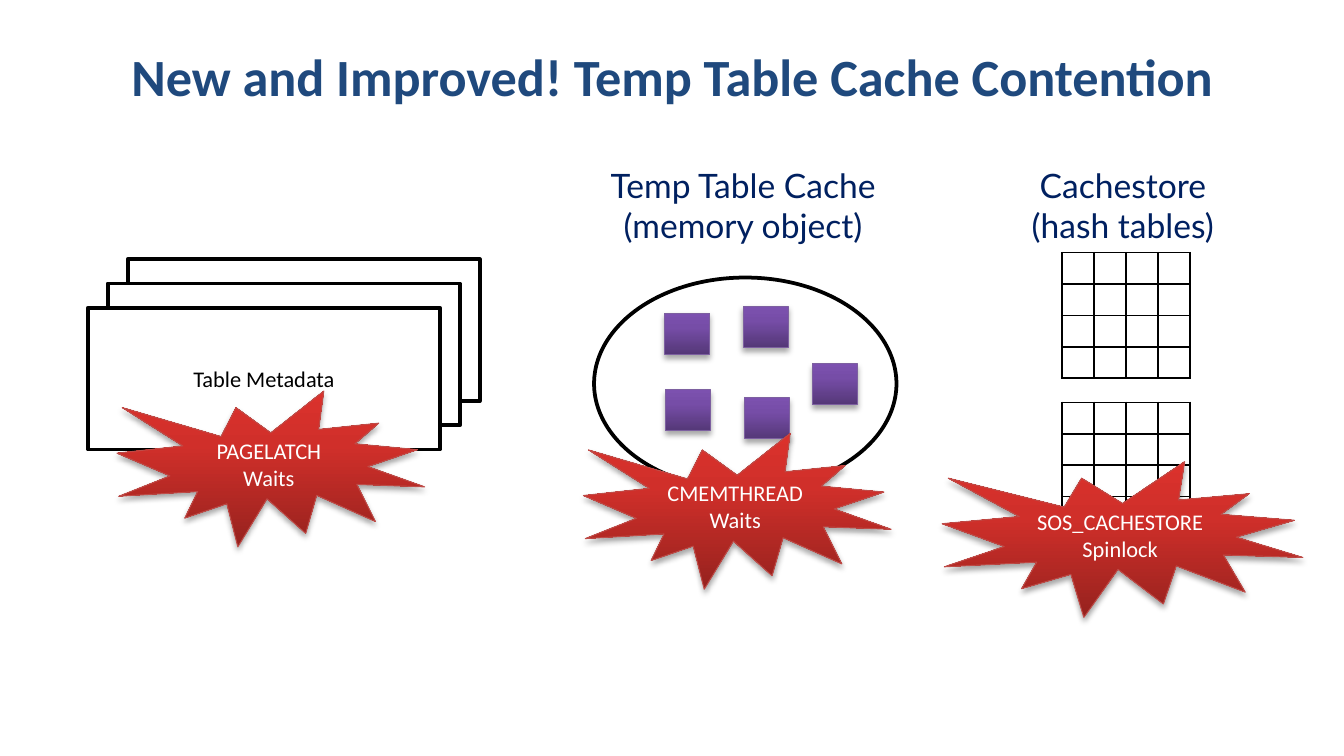
import pptx
import pptx.util
import pptx.dml.color
import pptx.enum.shapes
import pptx.enum.text
import pptx.oxml
import pptx.oxml.ns
import lxml.etree

RGB = pptx.dml.color.RGBColor
KIND = pptx.enum.shapes.MSO_SHAPE
BLACK = RGB(0x00, 0x00, 0x00)
WHITE = RGB(0xFF, 0xFF, 0xFF)
BLUE = RGB(0x1F, 0x49, 0x7D)
NAVY = RGB(0x00, 0x20, 0x60)
RUST = RGB(0xBF, 0x4C, 0x48)
PLUM = RGB(0x7D, 0x60, 0xA0)
REDS = RGB(0x96, 0x22, 0x1E), RGB(0xD0, 0x2F, 0x2A), RGB(0xDB, 0x31, 0x2C)
MAUVES = RGB(0x55, 0x38, 0x78), RGB(0x76, 0x4D, 0xA7), RGB(0x7C, 0x51, 0xAF)
NS = pptx.oxml.ns.nsdecls("a")

deck = pptx.Presentation()
deck.slide_width = pptx.util.Inches(10)
deck.slide_height = deck.slide_width * 9 // 16
COL = ROW = deck.slide_width / 100
slide = deck.slides.add_slide(deck.slide_layouts[5])


def write(frame, text, size=12, font="Calibri", color=BLACK, bold=False, anchor="MIDDLE"):
    frame.word_wrap = True
    frame.vertical_anchor = pptx.enum.text.MSO_ANCHOR[anchor]
    frame.text = text
    for para in frame.paragraphs:
        para.alignment = pptx.enum.text.PP_ALIGN.CENTER
        for run in para.runs:
            run.font.name = font
            run.font.size = pptx.util.Pt(size)
            run.font.bold = bold
            run.font.color.rgb = color


def draw(home, kind, x, y, w, h, edge=BLACK, thick=2, blend=None):
    shape = home.shapes.add_shape(kind, int(x * COL), int(y * ROW), int(w * COL), int(h * ROW))
    shape.shadow.inherit = False
    shape.line.color.rgb = edge
    shape.line.width = pptx.util.Pt(thick)
    shape.fill.solid()
    shape.fill.fore_color.rgb = WHITE
    if blend:
        stops = "".join(
            f'<a:gs pos="{pos}000"><a:srgbClr val="{tint}"/></a:gs>'
            for pos, tint in zip((0, 65, 100), blend))
        props = shape.element.spPr
        props.replace(props.find(pptx.oxml.ns.qn("a:solidFill")), pptx.oxml.parse_xml(
            f'<a:gradFill {NS} rotWithShape="1"><a:gsLst>{stops}</a:gsLst>'
            '<a:lin ang="16200000" scaled="0"/></a:gradFill>'))
        props.find(pptx.oxml.ns.qn("a:effectLst")).append(pptx.oxml.parse_xml(
            f'<a:outerShdw {NS} blurRad="39370" dist="25400" dir="5400000" rotWithShape="0">'
            '<a:srgbClr val="000000"><a:alpha val="35000"/></a:srgbClr></a:outerShdw>'))
    return shape


title = slide.shapes.title
title.left, title.top = int(5 * COL), int(2.5 * ROW)
title.width, title.height = int(90 * COL), int(6.2 * ROW)
write(title.text_frame, "New and Improved! Temp Table Cache Contention", size=28, color=BLUE, bold=True)

stack = slide.shapes.add_group_shape()
for step in range(3):
    sheet = draw(stack, KIND.RECTANGLE, 9.5 - 1.48 * step, 19.3 + 1.8 * step, 26.2, 10.55)
    if step == 0:
        sheet.fill.background()
write(sheet.text_frame, "Table Metadata")

cache = slide.shapes.add_group_shape()
draw(cache, KIND.OVAL, 44.2, 20.65, 22.5, 15.8)
for x, y in ((49.45, 23.3), (49.5, 29), (55.3, 22.8), (55.4, 29.6), (60.45, 27.05)):
    draw(cache, KIND.RECTANGLE, x, y, 3.35, 3.05, PLUM, 0.5, MAUVES)

for x, text in ((44.45, "Temp Table Cache\n(memory object)"), (72.7, "Cachestore\n(hash tables)")):
    label = slide.shapes.add_textbox(int(x * COL), int(11.75 * ROW), int(21.7 * COL), int(7.1 * ROW))
    write(label.text_frame, text, size=18, font="Lato", color=NAVY, anchor="TOP")

SIDE = 4
for y in (18.8, 29.95):
    grid = slide.shapes.add_table(
        SIDE, SIDE, int(79 * COL), int(y * ROW), int(9.55 * COL), int(9.35 * ROW)).table
    grid.first_row = grid.horz_banding = False
    for cell in grid.iter_cells():
        cell.margin_left = cell.margin_right = cell.margin_top = cell.margin_bottom = 0
        mark = lxml.etree.SubElement(cell.text_frame.paragraphs[0]._p, pptx.oxml.ns.qn("a:endParaRPr"))
        mark.set("sz", "800")
        props = cell._tc.get_or_add_tcPr()
        for edge in ("lnL", "lnR", "lnT", "lnB"):
            props.append(pptx.oxml.parse_xml(
                f'<a:{edge} {NS} w="12700"><a:solidFill><a:srgbClr val="{BLACK}"/></a:solidFill></a:{edge}>'))
        cell.fill.background()

for x, y, w, text in (
    (8.7, 29.1, 22.9, "PAGELATCH\nWaits"),
    (43.4, 32.25, 22.9, "CMEMTHREAD\nWaits"),
    (70.1, 34.35, 26.85, "SOS_CACHESTORE\nSpinlock"),
):
    burst = draw(slide, KIND.EXPLOSION1, x, y, w, 11.6, RUST, 0.5, REDS)
    write(burst.text_frame, text, color=WHITE)

deck.save("out.pptx")
